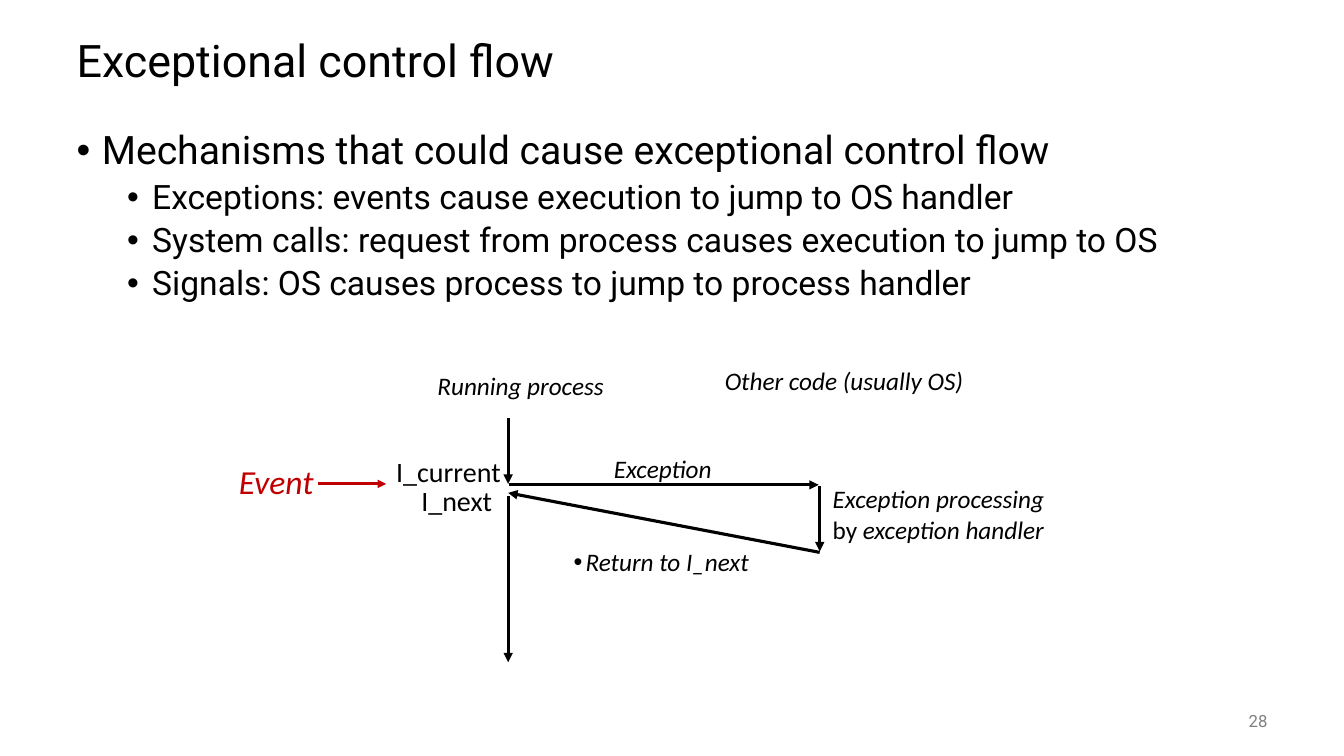
from lxml import etree
from pptx import Presentation
from pptx import util as u
from pptx.dml.color import RGBColor
from pptx.enum import shapes, text
from pptx.oxml.ns import qn


class Deck:
    """Hold the style and the current slide, and draw each kind of element."""

    unit = 9144
    black, red, gray = "000000", "C00000", "808080"
    head, hand = "Roboto", "Calibri"

    def __init__(self, wide, high):
        self.prs = Presentation()
        self.prs.slide_width = self.px(wide)
        self.prs.slide_height = self.px(high)
        self.slide = self.prs.slides.add_slide(self.prs.slide_layouts[1])

    def px(self, n):
        return u.Emu(n * self.unit)

    def tint(self, code):
        return RGBColor.from_string(code)

    def ink(self, run, size, face, color, slant=False):
        font = run.font
        font.size = u.Pt(size)
        font.name = face
        font.color.rgb = self.tint(color)
        font.italic = slant

    def place(self, shape, x, y, w, h):
        shape.left, shape.top = self.px(x), self.px(y)
        shape.width, shape.height = self.px(w), self.px(h)

    def dot(self, para, left, hang):
        props = para._p.get_or_add_pPr()
        props.set("marL", str(self.px(left)))
        props.set("indent", str(-self.px(hang)))
        etree.SubElement(props, qn("a:buFont")).set("typeface", "Arial")
        etree.SubElement(props, qn("a:buChar")).set("char", "•")

    def title(self, words, x, y, w, h):
        shape = self.slide.shapes.title
        self.place(shape, x, y, w, h)
        frame = shape.text_frame
        frame.text = words
        frame.auto_size = text.MSO_AUTO_SIZE.NONE
        frame.vertical_anchor = text.MSO_ANCHOR.MIDDLE
        para = frame.paragraphs[0]
        para.alignment = text.PP_ALIGN.LEFT
        para.line_spacing = 0.9
        self.ink(para.runs[0], 32, self.head, self.black)

    def body(self, lines, x, y, w, h):
        shape = self.slide.placeholders[1]
        self.place(shape, x, y, w, h)
        frame = shape.text_frame
        frame.text = "\n".join(lines)
        frame.auto_size = text.MSO_AUTO_SIZE.NONE
        for i, para in enumerate(frame.paragraphs):
            para.level = min(i, 1)
            self.dot(para, 25 + 50 * para.level, 25)
            para.line_spacing = 0.9
            para.space_before = u.Pt(5 * para.level)
            self.ink(para.runs[0], 28 - 4 * para.level, self.head, self.black)

    def label(self, words, x, y, w, h, size=18, face=hand, color=black,
              slant=True, wrap=False):
        shape = self.slide.shapes.add_textbox(0, 0, 0, 0)
        self.place(shape, x, y, w, h)
        frame = shape.text_frame
        frame.text = words
        frame.word_wrap = wrap
        frame.auto_size = text.MSO_AUTO_SIZE.SHAPE_TO_FIT_TEXT
        for para in frame.paragraphs:
            self.ink(para.runs[0], size, face, color, slant)
        return frame

    def number(self, words, x, y, w, h):
        frame = self.label(words, x, y, w, h, 12, self.head, self.gray, False, True)
        frame.auto_size = text.MSO_AUTO_SIZE.NONE
        frame.vertical_anchor = text.MSO_ANCHOR.MIDDLE
        frame.paragraphs[0].alignment = text.PP_ALIGN.RIGHT

    def arrow(self, x1, y1, x2, y2, color=black, width=2.25):
        ends = [self.px(n) for n in (x1, y1, x2, y2)]
        line = self.slide.shapes.add_connector(shapes.MSO_CONNECTOR.STRAIGHT, *ends)
        line.line.color.rgb = self.tint(color)
        line.line.width = u.Pt(width)
        props = line.element.spPr
        etree.SubElement(props.find(qn("a:ln")), qn("a:tailEnd")).set("type", "triangle")
        etree.SubElement(props, qn("a:effectLst"))


def main():
    deck = Deck(1333, 750)
    deck.title("Exceptional control flow", 66, 25, 1200, 75)
    deck.body([
        "Mechanisms that could cause exceptional control flow",
        "Exceptions: events cause execution to jump to OS handler",
        "System calls: request from process causes execution to jump to OS",
        "Signals: OS causes process to jump to process handler",
    ], 66, 125, 1200, 550)
    deck.number("28", 1167, 695, 100, 40)

    deck.label("Running process", 424, 362, 187, 40)
    deck.label("Other code (usually OS)", 709, 358, 257, 40)
    flow, side = 504, 813
    for ends in [
        (flow, 415, flow, 480),
        (flow + 1, 481, side - 1, 481),
        (side, 482, side, 547),
        (side, 548, flow, 489),
        (flow, 492, flow, 657),
    ]:
        deck.arrow(*ends)

    deck.label("Exception", 599, 445, 125, 40)
    note = deck.label("Exception processing\nby ", 816, 475, 235, 101, wrap=True)
    last = note.paragraphs[1]
    last.runs[0].font.italic = False
    run = last.add_run()
    run.text = "exception handler"
    deck.ink(run, 18, deck.hand, deck.black, True)
    back = deck.label("Return to I_next", 559, 537, 196, 40)
    deck.dot(back.paragraphs[0], 12, 12)

    deck.label("Event", 227, 452, 125, 50, size=24, color=deck.red, wrap=True)
    deck.label("I_current", 383, 446, 125, 44, size=20, slant=False)
    deck.label("I_next", 408, 475, 91, 44, size=20, slant=False)
    deck.arrow(315, 480, 383, 480, deck.red, 2)
    deck.prs.save("out.pptx")


if __name__ == "__main__":
    main()
